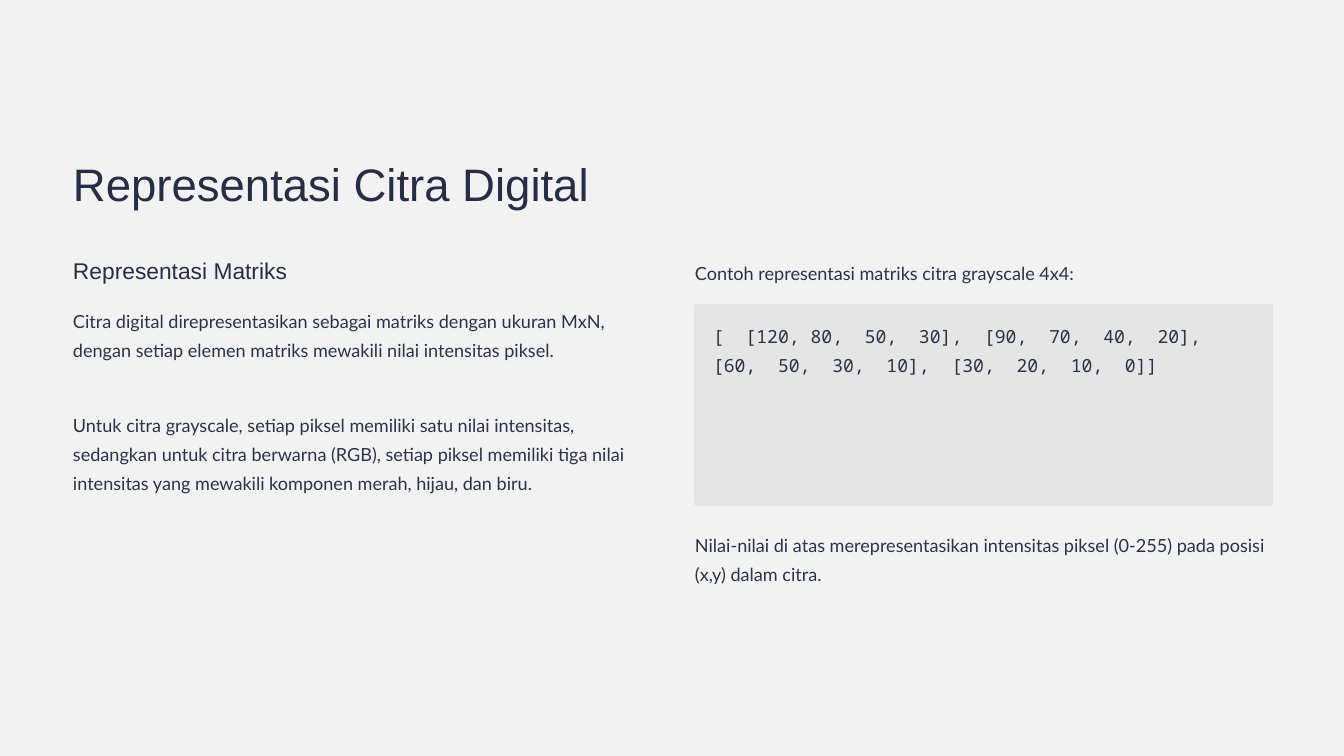
from dataclasses import dataclass

from pptx import Presentation
from pptx import util as u
from pptx.dml.color import RGBColor
from pptx.enum import shapes, text

EMU_PER_PX = 914400 / 84


@dataclass(frozen=True)
class Theme:
    background: str = "F2F2F2"
    panel: str = "E5E5E5"
    heading: str = "272D45"
    body: str = "2C3249"
    heading_font: str = "Arial"
    body_font: str = "Lato"
    code_font: str = "Noto Sans Mono"
    title_size: float = 39
    heading_size: float = 19.5
    body_size: float = 15.5
    title_leading: float = 48.5
    heading_leading: float = 24
    body_leading: float = 25


THEME = Theme()
LEFT, RIGHT, COLUMN = 73, 695, 577


def px(length):
    return u.Emu(round(length * EMU_PER_PX))


def place(box, left, top, width, height):
    box.left, box.top = px(left), px(top)
    box.width, box.height = px(width), px(height)


def write(box, words, font=THEME.body_font, size=THEME.body_size,
          color=THEME.body, leading=THEME.body_leading):
    frame = box.text_frame
    frame.word_wrap = True
    frame.auto_size = text.MSO_AUTO_SIZE.NONE
    frame.vertical_anchor = text.MSO_ANCHOR.TOP
    frame.margin_left = frame.margin_right = 0
    frame.margin_top = frame.margin_bottom = 0
    para = frame.paragraphs[0]
    para.alignment = text.PP_ALIGN.LEFT
    para.line_spacing = u.Pt(leading)
    para.space_before = u.Pt(0)
    span = para.add_run()
    span.text = words
    span.font.name = font
    span.font.size = u.Pt(size)
    span.font.color.rgb = RGBColor.from_string(color)


def add_title(page, words):
    place(page.shapes.title, LEFT, 154, 1199, 57)
    write(page.shapes.title, words, font=THEME.heading_font, size=THEME.title_size,
          color=THEME.heading, leading=THEME.title_leading)


def add_text(page, words, left, top, width, height, **style):
    box = page.shapes.add_textbox(px(left), px(top), px(width), px(height))
    write(box, words, **style)


def add_panel(page, left, top, width, height, radius):
    panel = page.shapes.add_shape(shapes.MSO_SHAPE.ROUNDED_RECTANGLE,
                                  px(left), px(top), px(width), px(height))
    panel.adjustments[0] = radius / min(width, height)
    panel.shadow.inherit = False
    panel.fill.solid()
    panel.fill.fore_color.rgb = RGBColor.from_string(THEME.panel)
    panel.line.fill.background()


def main():
    deck = Presentation()
    deck.slide_width, deck.slide_height = px(1344), px(756)
    page = deck.slides.add_slide(deck.slide_layouts[5])
    page.background.fill.solid()
    page.background.fill.fore_color.rgb = RGBColor.from_string(THEME.background)

    add_title(page, "Representasi Citra Digital")
    add_text(page, "Representasi Matriks", LEFT, 256, COLUMN, 29,
             font=THEME.heading_font, size=THEME.heading_size,
             color=THEME.heading, leading=THEME.heading_leading)
    add_text(page, "Citra digital direpresentasikan sebagai matriks dengan ukuran MxN, "
             "dengan setiap elemen matriks mewakili nilai intensitas piksel.",
             LEFT, 303, COLUMN, 87)
    add_text(page, "Untuk citra grayscale, setiap piksel memiliki satu nilai intensitas, "
             "sedangkan untuk citra berwarna (RGB), setiap piksel memiliki tiga nilai "
             "intensitas yang mewakili komponen merah, hijau, dan biru.",
             LEFT, 407, COLUMN, 87)

    add_text(page, "Contoh representasi matriks citra grayscale 4x4:",
             RIGHT, 255, COLUMN, 29)
    add_panel(page, RIGHT - 1, 304, COLUMN + 2, 202, radius=3)
    add_text(page, "[  [120, 80,  50,  30],  [90,  70,  40,  20],  "
             "[60,  50,  30,  10],  [30,  20,  10,  0]]",
             RIGHT + 18, 318, COLUMN - 35, 175, font=THEME.code_font)
    add_text(page, "Nilai-nilai di atas merepresentasikan intensitas piksel (0-255) "
             "pada posisi (x,y) dalam citra.", RIGHT, 527, COLUMN, 58)

    deck.save("out.pptx")


if __name__ == "__main__":
    main()
